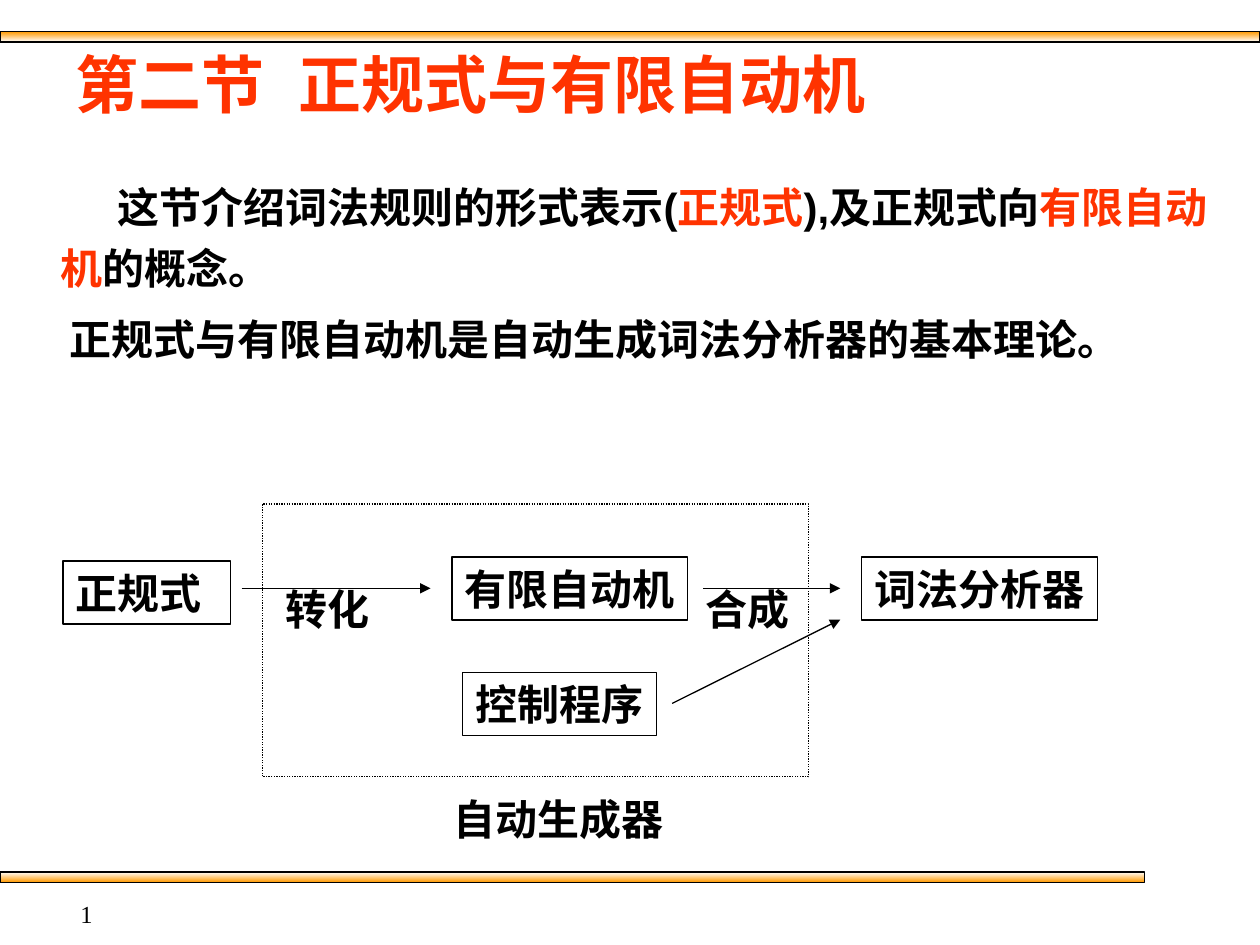
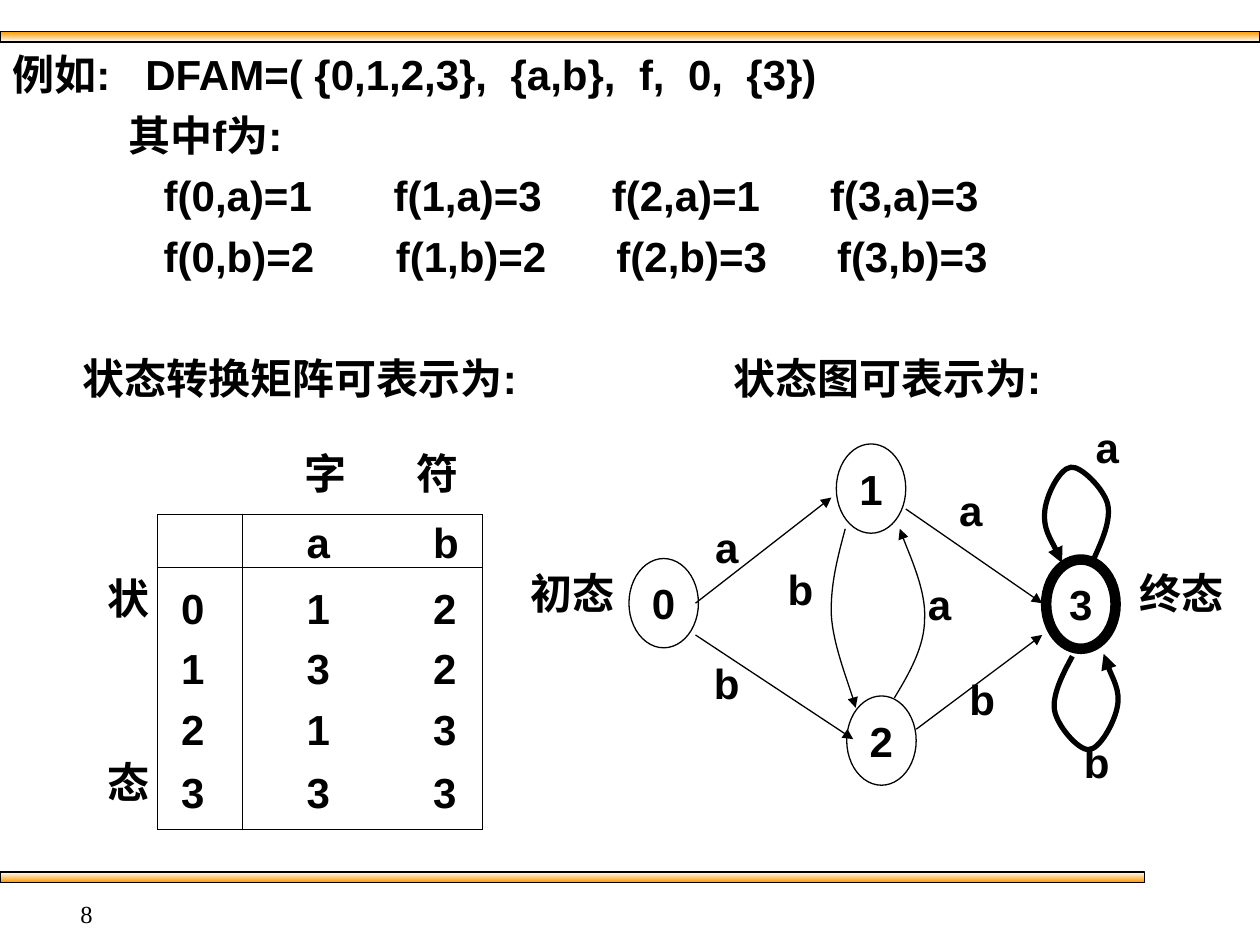
from pptx import Presentation
from pptx import util as u
from pptx.dml.color import RGBColor
from pptx.enum import dml, shapes, text
from pptx.oxml.ns import qn
from lxml import etree

INK = {"black": "000000", "red": "FF3300", "gold": "FF9900", "white": "FFFFFF"}
SANS, HAN, SERIF = "Arial", "Noto Sans CJK SC", "Times New Roman"
PLAIN = "{2D5ABB26-0587-4C30-8999-92F81FD0307C}"
LEFT, MID, RIGHT = text.PP_ALIGN.LEFT, text.PP_ALIGN.CENTER, text.PP_ALIGN.RIGHT
TOP, CORE, BASE = (text.MSO_ANCHOR.TOP, text.MSO_ANCHOR.MIDDLE,
                   text.MSO_ANCHOR.BOTTOM)


def rgb(name):
    """Return a named colour."""
    return RGBColor.from_string(INK[name])


def cm(*vals):
    """Return each value as a length."""
    return [u.Cm(v) for v in vals]


def sub(node, tag, **attrs):
    """Append a drawing element."""
    return etree.SubElement(node, qn(tag), attrs)


def put(par, runs, size=24, font=SANS, bold=True, align=LEFT, before=0,
        space=None, first=0, left=0, gaps=()):
    """Fill a paragraph with text or (text, colour) runs; gaps widen each bar."""
    props = par._p.get_or_add_pPr()
    props.set("marL", str(u.Cm(left)))
    props.set("indent", str(u.Cm(first)))
    sub(props, "a:buNone")
    par.alignment, par.space_before = align, u.Pt(before)
    par.line_spacing = space
    wide = iter(gaps)
    for words, tint in [(runs, "black")] if isinstance(runs, str) else runs:
        for i, part in enumerate(words.split("|")):
            for piece in (" ", part) if i else (part,):
                run = par.add_run()
                run.text, look = piece, run.font
                look.size, look.bold, look.name = u.Pt(size), bold, font
                look.color.rgb = rgb(tint)
                props = run._r.get_or_add_rPr()
                sub(props, "a:ea", typeface=font)
                if piece == " ":
                    props.set("spc", str(round(next(wide) * 100)))


def setup(frame, wrap=True, anchor=TOP, side=0.25, edge=0.13):
    """Set wrapping, anchor and margins of a text frame."""
    frame.word_wrap, frame.vertical_anchor = wrap, anchor
    frame.auto_size = text.MSO_AUTO_SIZE.NONE
    frame.margin_left = frame.margin_right = u.Cm(side)
    frame.margin_top = frame.margin_bottom = u.Cm(edge)
    return frame


def label(slide, words, x, y, w, h=1.27, **fmt):
    """Add a line of free text."""
    box = slide.shapes.add_textbox(*cm(x, y, w, h))
    put(setup(box.text_frame, wrap=False).paragraphs[0], words, **fmt)
    return box


def shape(slide, kind, x, y, w, h, words="", width=0.75, align=MID, side=0.25):
    """Add an outlined shape with centred text."""
    form = slide.shapes.add_shape(kind, *cm(x, y, w, h))
    form.shadow.inherit = False
    form.fill.background()
    form.line.color.rgb, form.line.width = rgb("black"), u.Pt(width)
    if words:
        frame = setup(form.text_frame, False, CORE, side, 0)
        put(frame.paragraphs[0], words, align=align)
    return form


def tip(form, width=0.75):
    """Give a line its ink and an arrowhead."""
    form.line.color.rgb, form.line.width = rgb("black"), u.Pt(width)
    sub(form.line._get_or_add_ln(), "a:tailEnd", type="triangle")


def arrow(slide, x, y, ends):
    """Draw a straight arrow relative to a corner."""
    x1, y1, x2, y2 = ends
    line = slide.shapes.add_connector(
        shapes.MSO_CONNECTOR.STRAIGHT, *cm(x + x1, y + y1, x + x2, y + y2))
    tip(line)
    sub(line._element.spPr, "a:effectLst")


def curve(slide, x, y, knots, width=0.75):
    """Draw an arrow along joined cubic curves."""
    pts = [cm(x + px, y + py) for px, py in knots]
    pen = slide.shapes.build_freeform(*pts[0])
    pen.add_line_segments(pts[1:], close=False)
    form = pen.convert_to_shape()
    legs = list(form._element.iter(qn("a:lnTo")))
    track = legs[0].getparent()
    for i in range(0, len(legs), 3):
        bend = sub(track, "a:cubicBezTo")
        for leg in legs[i:i + 3]:
            bend.append(leg[0])
            track.remove(leg)
    form.shadow.inherit = False
    form.fill.background()
    tip(form, width)


def frame_up(slide, number):
    """Add the two bands and the page number."""
    bands = ((0.64, 25.4, ("gold", "white")), (17.58, 23.07, ("white", "gold")))
    for y, w, tints in bands:
        band = shape(slide, shapes.MSO_SHAPE.RECTANGLE, 0, y, w, 0.21)
        band.fill.gradient()
        band.fill.gradient_angle = 270
        for stop, tint in zip(band.fill.gradient_stops, tints):
            stop.color.rgb = rgb(tint)
    label(slide, str(number), 0, 17.99, 2.12, 0.64, size=14, font=SERIF,
          bold=False, align=RIGHT)


def hold(holder, x, y, w, h, paras):
    """Move a placeholder and fill it with (runs, format) pairs."""
    holder.left, holder.top, holder.width, holder.height = cm(x, y, w, h)
    frame = setup(holder.text_frame)
    for i, (runs, fmt) in enumerate(paras):
        par = frame.add_paragraph() if i else frame.paragraphs[0]
        put(par, runs, before=6 if i else 0, **fmt)


def flow(slide, x, y):
    """Draw the path from regular expression to lexer."""
    rect = shapes.MSO_SHAPE.RECTANGLE
    for words, dx, dy, w, align in (
            ("正规式", 0, 1.15, 3.38, LEFT), ("有限自动机", 7.84, 1.07, 4.75, MID),
            ("词法分析器", 16.1, 1.07, 4.75, MID), ("控制程序", 8.05, 3.4, 3.91, MID)):
        shape(slide, rect, x + dx, y + dy, w, 1.27, words, align=align)
    for ends in ((3.6, 1.7, 7.41, 1.7), (12.91, 1.7, 15.67, 1.7),
                 (12.28, 4.02, 15.67, 2.33)):
        arrow(slide, x, y, ends)
    zone = shape(slide, rect, x + 4.02, y, 11.01, 5.5)
    zone.line.dash_style = dml.MSO_LINE.ROUND_DOT
    for words, dx, dy, w in (("自动生成器", 7.62, 5.71, 4.75),
                             ("转化", 4.24, 1.47, 2.2), ("合成", 12.7, 1.47, 2.2)):
        label(slide, words, x + dx, y + dy, w, align=MID)


def rule(cell, sides):
    """Draw the named sides of a cell."""
    props = cell._tc.get_or_add_tcPr()
    for i, side in enumerate(sides):
        line = etree.Element(qn("a:ln" + side), w=str(u.Pt(0.75)))
        sub(sub(line, "a:solidFill"), "a:srgbClr", val=INK["black"])
        props.insert(i, line)


def matrix(slide, x, y):
    """Draw the state transition matrix with its headings."""
    label(slide, "状态转换矩阵可表示为:", x, y, 9.45)
    label(slide, "字|符", x + 3.89, y + 1.91, 4.75, align=MID, gaps=(33.4,))
    side = label(slide, "状", x + 0.64, y + 4.44, 1.07, 4.95, align=MID)
    put(side.text_frame.add_paragraph(), "态", align=MID, before=76)
    rows = (" ab", "012", "132", "213", "333")
    high, wide = (1.07, 1.32, 1.22, 1.22, 1.52), (1.7, 2.55, 2.3)
    holder = slide.shapes.add_table(
        len(rows), len(wide), *cm(x + 1.76, y + 3.39, sum(wide), sum(high)))
    grid = holder.table
    grid.first_row = grid.horz_banding = False
    next(holder._element.iter(qn("a:tableStyleId"))).text = PLAIN
    for c, w in enumerate(wide):
        grid.columns[c].width = u.Cm(w)
    for r, row in enumerate(rows):
        grid.rows[r].height = u.Cm(high[r])
        for c, mark in enumerate(row):
            cell = grid.cell(r, c)
            cell.fill.background()
            cell.vertical_anchor = BASE
            cell.margin_left = u.Cm(1.3 if c else 0.47)
            cell.margin_right = cell.margin_top = 0
            cell.margin_bottom = u.Cm(0.25 if r == 4 else 0)
            put(cell.text_frame.paragraphs[0], mark.strip())
            rule(cell, ("LR", "", "R")[c] + ("TB", "", "", "", "B")[r])


def graph(slide, x, y):
    """Draw the state diagram with its labels."""
    label(slide, "状态图可表示为:", x + 4.09, y, 6.91)
    for name, dx, dy, width in (("0", 2.24, 4.28, 0.75), ("1", 6.42, 1.97, 0.75),
                                ("2", 6.63, 7.05, 0.75), ("3", 10.65, 4.3, 6)):
        shape(slide, shapes.MSO_SHAPE.OVAL, x + dx, y + dy, 1.4, 1.8, name,
              width, side=0)
    for ends in ((3.58, 5.18, 6.32, 3.05), (7.82, 3.28, 10.57, 5.18),
                 (3.58, 5.82, 6.76, 7.92), (8.03, 7.72, 10.57, 5.82)):
        arrow(slide, x, y, ends)
    loops = (
        ((11.61, 4.29), (11.79, 3.89), (11.96, 3.51), (11.89, 3.18),
         (11.81, 2.87), (11.35, 2.41), (11.15, 2.44), (10.92, 2.46),
         (10.64, 3.02), (10.62, 3.35), (10.59, 3.68), (10.92, 4.22),
         (10.97, 4.37)),
        ((11.18, 6.25), (10.97, 6.63), (10.77, 7.04), (10.82, 7.34),
         (10.87, 7.65), (11.3, 8.15), (11.51, 8.13), (11.73, 8.13),
         (12.04, 7.57), (12.09, 7.24), (12.14, 6.93), (11.84, 6.38),
         (11.81, 6.2)))
    bends = (
        ((6.6, 3.68), (6.45, 4.24), (6.3, 4.8), (6.32, 5.41),
         (6.35, 5.99), (6.73, 6.96), (6.81, 7.29)),
        ((7.59, 7.09), (7.9, 6.58), (8.2, 6.05), (8.2, 5.49),
         (8.23, 4.93), (7.8, 3.99), (7.7, 3.68)))
    for width, group in ((3, loops), (0.75, bends)):
        for knots in group:
            curve(slide, x, y, knots, width)
    for words, dx, dy, w in (
            ("初态", 0, 4.33, 2.2), ("终态", 12.27, 4.33, 2.2),
            ("a", 3.71, 3.4, 1), ("b", 3.71, 6.15, 1), ("b", 5.2, 4.26, 1),
            ("a", 8, 4.55, 1), ("a", 8.63, 2.65, 1), ("a", 11.38, 1.39, 1),
            ("b", 11.17, 7.73, 1), ("b", 8.86, 6.46, 1)):
        label(slide, words, x + dx, y + dy, w, align=MID)


def intro(slide):
    """Build the section opening slide."""
    frame_up(slide, 1)
    hold(slide.shapes.title, 1.27, 0.78, 22.86, 2.16, [
        ([("第二节|正规式与有限自动机", "red")],
         dict(size=36, font=HAN, gaps=(11.5,)))])
    hold(slide.placeholders[1], 0, 3.33, 24.64, 4.5, [
        ([("这节介绍词法规则的形式表示(", "black"), ("正规式", "red"),
          ("),及正规式向", "black"), ("有限自动机", "red"), ("的概念。", "black")],
         dict(space=1.2, left=0.96, first=1.16)),
        ("正规式与有限自动机是自动生成词法分析器的基本理论。",
         dict(space=1.2, left=0.96, first=0.19))])
    flow(slide, 1.27, 10.16)


def sample(slide):
    """Build the automaton example slide."""
    frame_up(slide, 8)
    title = slide.shapes.title._element
    title.getparent().remove(title)
    calls = ["|".join(f"f({state},{mark})={goal}"
                      for state, goal in enumerate(goals))
             for mark, goals in (("a", "1313"), ("b", "2233"))]
    grid = dict(left=3.05, gaps=(40, 33.4, 33.4))
    hold(slide.placeholders[1], 0, 0.84, 24.56, 5.08, [
        ("例如:|DFAM=( {0,1,2,3},|{a,b},|f,|0,|{3})",
         dict(gaps=(13.3, 6.7, 6.7, 6.7, 6.7))),
        ("其中f为:", dict(left=2.34))] + [(line, grid) for line in calls])
    matrix(slide, 1.42, 6.98)
    graph(slide, 10.44, 6.98)


def main():
    """Build and save the slides."""
    deck = Presentation()
    deck.slide_width, deck.slide_height = cm(25.4, 19.05)
    for build in (intro, sample):
        build(deck.slides.add_slide(deck.slide_layouts[1]))
    deck.save("out.pptx")


if __name__ == "__main__":
    main()
